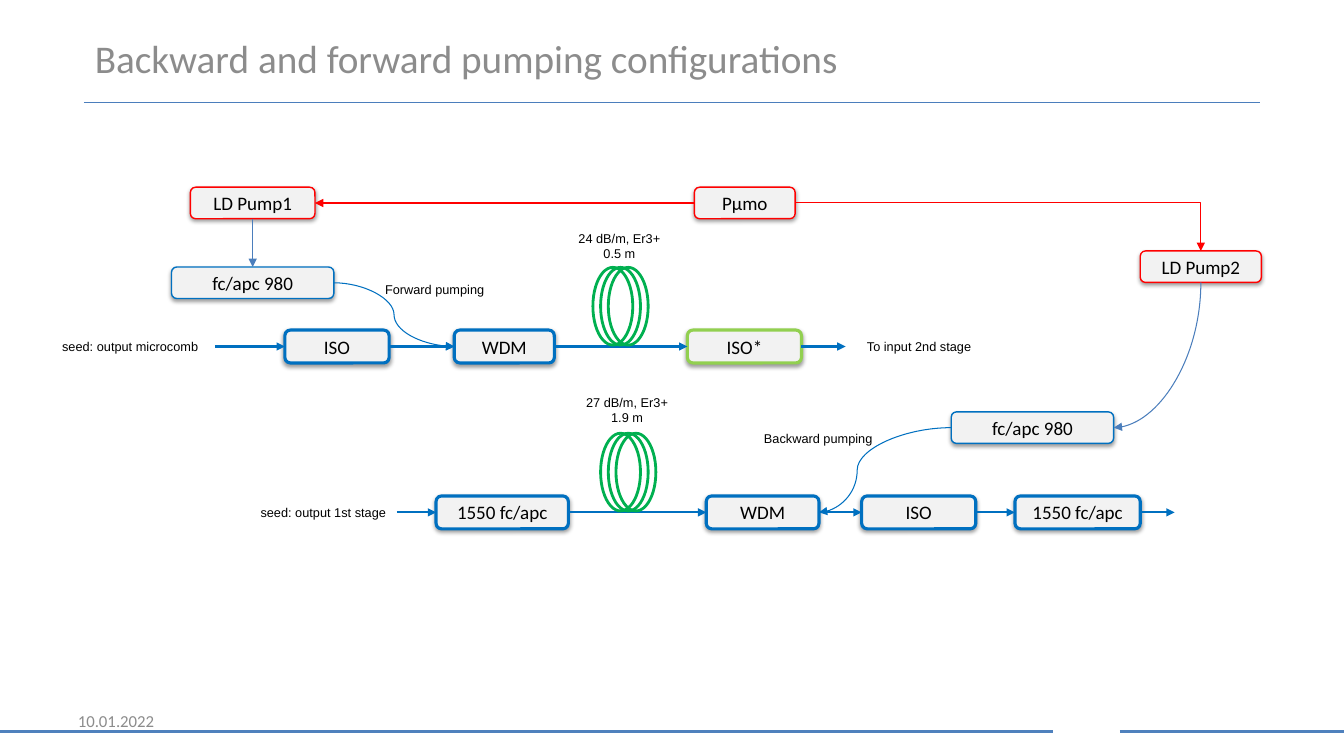
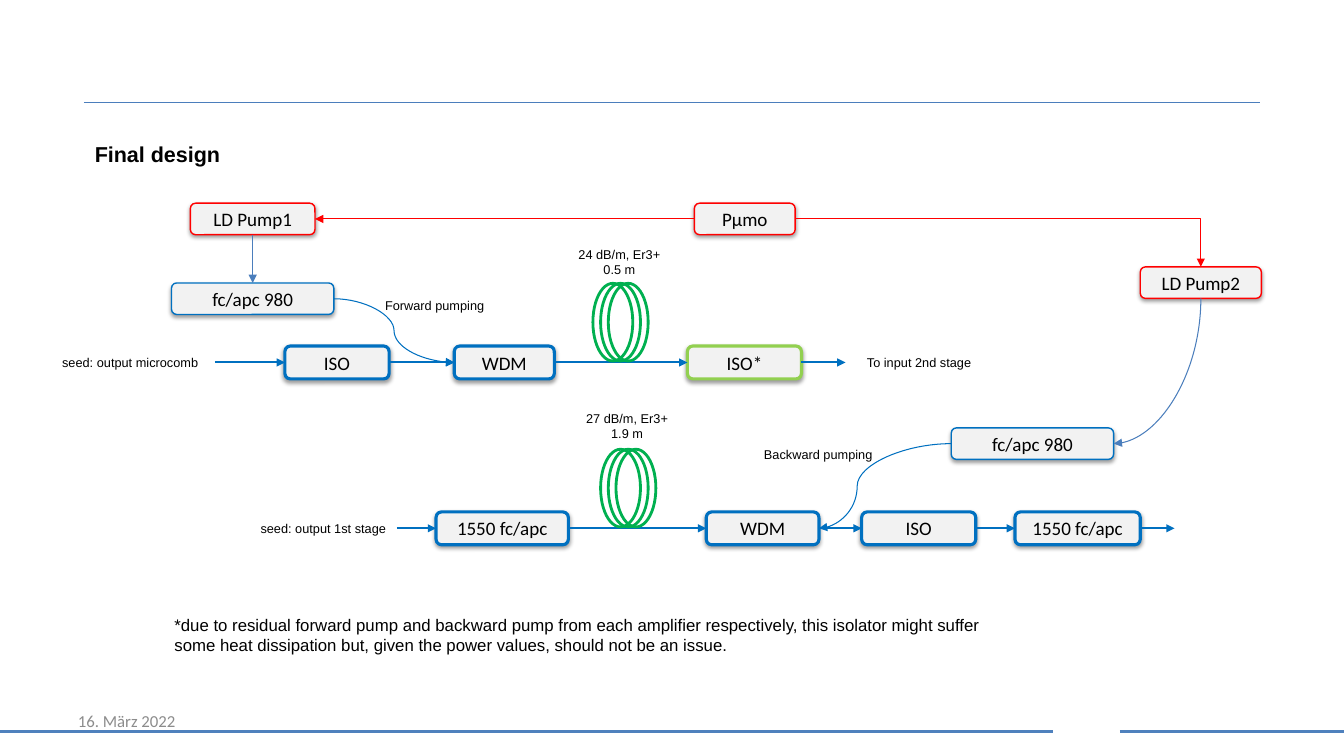
from lxml import etree
from pptx import Presentation
from pptx.dml.color import RGBColor
from pptx.enum.shapes import MSO_CONNECTOR, MSO_SHAPE
from pptx.enum.text import MSO_ANCHOR, MSO_AUTO_SIZE, PP_ALIGN
from pptx.oxml import parse_xml
from pptx.oxml.ns import nsdecls, qn
from pptx.util import Pt

STRAIGHT, ELBOW, CURVE = MSO_CONNECTOR.STRAIGHT, MSO_CONNECTOR.ELBOW, MSO_CONNECTOR.CURVE
ROUND, OVAL = MSO_SHAPE.ROUNDED_RECTANGLE, MSO_SHAPE.OVAL
TOP, MIDDLE = MSO_ANCHOR.TOP, MSO_ANCHOR.MIDDLE
LEFT, CENTER = PP_ALIGN.LEFT, PP_ALIGN.CENTER
FIXED = MSO_AUTO_SIZE.NONE
UP, WEST, DOWN, EAST = range(4)


class Theme:
    black = RGBColor.from_string("000000")
    gray = RGBColor.from_string("8C8C8C")
    pale = RGBColor.from_string("F2F2F2")
    blue = RGBColor.from_string("0070C0")
    steel = RGBColor.from_string("4B7EBC")
    band = RGBColor.from_string("4F81BD")
    red = RGBColor.from_string("FF0000")
    lime = RGBColor.from_string("92D050")
    green = RGBColor.from_string("00B050")
    sans, body = "Arial", "Calibri"
    title, head, node, note, label = 28, 15.4, 13.6, 12, 9.1
    hair, thin, flow, coil, bold = 0.75, 1, 1.5, 2, 2.25


PUMP, FIBER, ROW1, ROW2 = 145, 202, 247.5, 366
NODES = {
    "pump1": ("LD Pump1", 136, PUMP, 89, Theme.red, Theme.thin),
    "power": ("Pµmo", 496, PUMP, 72, Theme.red, Theme.thin),
    "pump2": ("LD Pump2", 814.5, 190.5, 86.5, Theme.red, Theme.thin),
    "fiber1": ("fc/apc 980", 122.5, FIBER, 116, Theme.blue, Theme.thin),
    "fiber2": ("fc/apc 980", 679.5, 305.5, 116, Theme.blue, Theme.thin),
    "iso1": ("ISO", 203.5, ROW1, 74.5, Theme.blue, Theme.bold),
    "wdm1": ("WDM", 324.5, ROW1, 71.5, Theme.blue, Theme.bold),
    "star": ("ISO*", 491, ROW1, 81.5, Theme.lime, Theme.bold),
    "inlet": ("1550 fc/apc", 311.5, ROW2, 94.5, Theme.blue, Theme.bold),
    "wdm2": ("WDM", 504.5, ROW2, 80.5, Theme.blue, Theme.bold),
    "iso2": ("ISO", 615.5, ROW2, 81.5, Theme.blue, Theme.bold),
    "outlet": ("1550 fc/apc", 725, ROW2, 89.5, Theme.blue, Theme.bold),
}
SPOTS = {"seed1": (153.5, ROW1), "end1": (604, ROW1),
         "seed2": (283.5, ROW2), "end2": (839, ROW2)}
CHAINS = [("seed1", "iso1", "wdm1", "star", "end1"),
          ("seed2", "inlet", "wdm2", "iso2", "outlet", "end2")]
LINKS = [(STRAIGHT, a, EAST, b, WEST, Theme.blue, Theme.flow)
         for chain in CHAINS for a, b in zip(chain, chain[1:])]
LINKS += [
    (STRAIGHT, "power", WEST, "pump1", EAST, Theme.red, Theme.hair),
    (STRAIGHT, "pump1", DOWN, "fiber1", UP, Theme.steel, Theme.hair),
    (ELBOW, "power", EAST, "pump2", UP, Theme.red, Theme.hair),
    (CURVE, "fiber1", EAST, "wdm1", WEST, Theme.blue, Theme.hair),
    (CURVE, "fiber2", WEST, "wdm2", EAST, Theme.blue, Theme.hair),
    (CURVE, "pump2", DOWN, "fiber2", EAST, Theme.steel, Theme.hair),
]
COILS = [(423.5, ROW1), (429, ROW2)]
LABELS = [
    ("seed: output microcomb", 32.5, ROW1, 121),
    ("To input 2nd stage", 604, ROW1, 105),
    ("seed: output 1st stage", 178.5, ROW2, 105),
    ("Forward pumping", 267, 206.5, 87),
    ("Backward pumping", 538.5, 313, 92),
    ("24 dB/m, Er3+\n0.5 m", 390, ROW1 - 72, 105),
    ("27 dB/m, Er3+\n1.9 m", 395.5, ROW2 - 73, 105),
]
RULES = [(0, 752, 522.5, Theme.band, Theme.bold),
         (800, 960, 522.5, Theme.band, Theme.bold),
         (60, 900, 73.5, Theme.steel, Theme.hair)]
PAGES = [
    ("Backward and forward pumping configurations", (60.5, 21, 720, 53),
     Theme.title, Theme.body, Theme.gray, False, 1, "10.01.2022", 0, ""),
    ("Final design", (60.5, 88, 590, 63),
     Theme.head, Theme.sans, Theme.black, True, 1.5, "16. März 2022", 11.4,
     "*due to residual forward pump and backward pump from each amplifier "
     "respectively, this isolator might suffer some heat dissipation but, "
     "given the power values, should not be an issue."),
]
SHADE = (f'<a:effectLst {nsdecls("a")}><a:outerShdw blurRad="39370" dist="20320" '
         'dir="5400000" rotWithShape="0"><a:srgbClr val="000000">'
         '<a:alpha val="38000"/></a:srgbClr></a:outerShdw></a:effectLst>')


def write(shape, text, size, font, color, align=LEFT, anchor=MIDDLE, bold=False):
    frame = shape.text_frame
    frame.text = text
    frame.word_wrap = True
    frame.auto_size = FIXED
    frame.vertical_anchor = anchor
    for para in frame.paragraphs:
        para.alignment = align
        for run in para.runs:
            run.font.size = Pt(size)
            run.font.name = font
            run.font.bold = bold
            run.font.color.rgb = color


def draw(slide, kind, x1, y1, x2, y2, color, weight):
    line = slide.shapes.add_connector(kind, Pt(x1), Pt(y1), Pt(x2), Pt(y2))
    line.line.color.rgb = color
    line.line.width = Pt(weight)
    etree.SubElement(line.element.spPr, qn("a:effectLst"))
    return line


deck = Presentation()
deck.slide_width, deck.slide_height = Pt(960), Pt(540)
layout = deck.slide_layouts[5]
slides = [deck.slides.add_slide(layout) for page in PAGES]

for count, (x1, x2, y, color, weight) in enumerate(RULES):
    rule = draw(slides[0], STRAIGHT, x1, y, x2, y, color, weight)
    rule.element.nvCxnSpPr.cNvPr.set("id", str(20 + count))
    layout.shapes.element.append(rule.element)

for slide, page in zip(slides, PAGES):
    text, place, size, font, color, bold, space, date, shift, note = page
    shapes = slide.shapes
    title = shapes.title
    title.left, title.top, title.width, title.height = map(Pt, place)
    write(title, text, size, font, color, LEFT, TOP, bold)
    title.text_frame.paragraphs[0].line_spacing = space

    stamp = shapes.add_textbox(Pt(48.5), Pt(500.5), Pt(224), Pt(29))
    write(stamp, date, Theme.note, Theme.body, Theme.gray)

    nodes = {}
    for key, (text, x, mid, width, color, weight) in NODES.items():
        high = 23.5 if weight == Theme.bold else 22.5
        node = shapes.add_shape(ROUND, Pt(x), Pt(mid - high / 2 + shift), Pt(width), Pt(high))
        node.fill.solid()
        node.fill.fore_color.rgb = Theme.pale
        node.line.color.rgb = color
        node.line.width = Pt(weight)
        node.element.spPr.append(parse_xml(SHADE))
        frame = node.text_frame
        frame.margin_top = frame.margin_bottom = 0
        write(node, text, Theme.node, Theme.body, Theme.black, CENTER)
        nodes[key] = node

    for kind, start, out, stop, into, color, weight in LINKS:
        x1, y1 = SPOTS.get(start, (0, 0))
        x2, y2 = SPOTS.get(stop, (0, 0))
        line = draw(slide, kind, x1, y1 + shift, x2, y2 + shift, color, weight)
        if start in nodes:
            line.begin_connect(nodes[start], out)
        if stop in nodes:
            line.end_connect(nodes[stop], into)
        props = line.element.spPr
        etree.SubElement(props.find(qn("a:ln")), qn("a:tailEnd"), type="triangle")
        form = props.find(qn("a:prstGeom"))
        if kind == ELBOW:
            form.set("prst", "bentConnector2")
        if start == "fiber2":
            guides = form.find(qn("a:avLst"))
            etree.SubElement(guides, qn("a:gd"), name="adj1", fmla="val 71100")
        if start == "pump2":
            form.set("prst", "curvedConnector2")
            wide, high = line.width, line.height
            line.left += (wide - high) // 2
            line.top += (high - wide) // 2
            line.width, line.height = high, wide
            props.xfrm.set("flipH", "0")
            line.rotation = 90

    for x, row in COILS:
        for turn in range(3):
            loop = shapes.add_shape(OVAL, Pt(x + 5.5 * turn), Pt(row - 56.5 + shift),
                                    Pt(28.5), Pt(55.5))
            loop.shadow.inherit = False
            loop.fill.background()
            loop.line.color.rgb = Theme.green
            loop.line.width = Pt(Theme.coil)

    for text, x, mid, width in LABELS:
        label = shapes.add_textbox(Pt(x), Pt(mid - 15 + shift), Pt(width), Pt(30))
        frame = label.text_frame
        frame.margin_left = frame.margin_right = 0
        write(label, text, Theme.label, Theme.sans, Theme.black, CENTER)

    if note:
        foot = shapes.add_textbox(Pt(117.5), Pt(435.5), Pt(618.5), Pt(36))
        write(foot, note, Theme.note, Theme.sans, Theme.black, LEFT, TOP)

deck.save("out.pptx")
